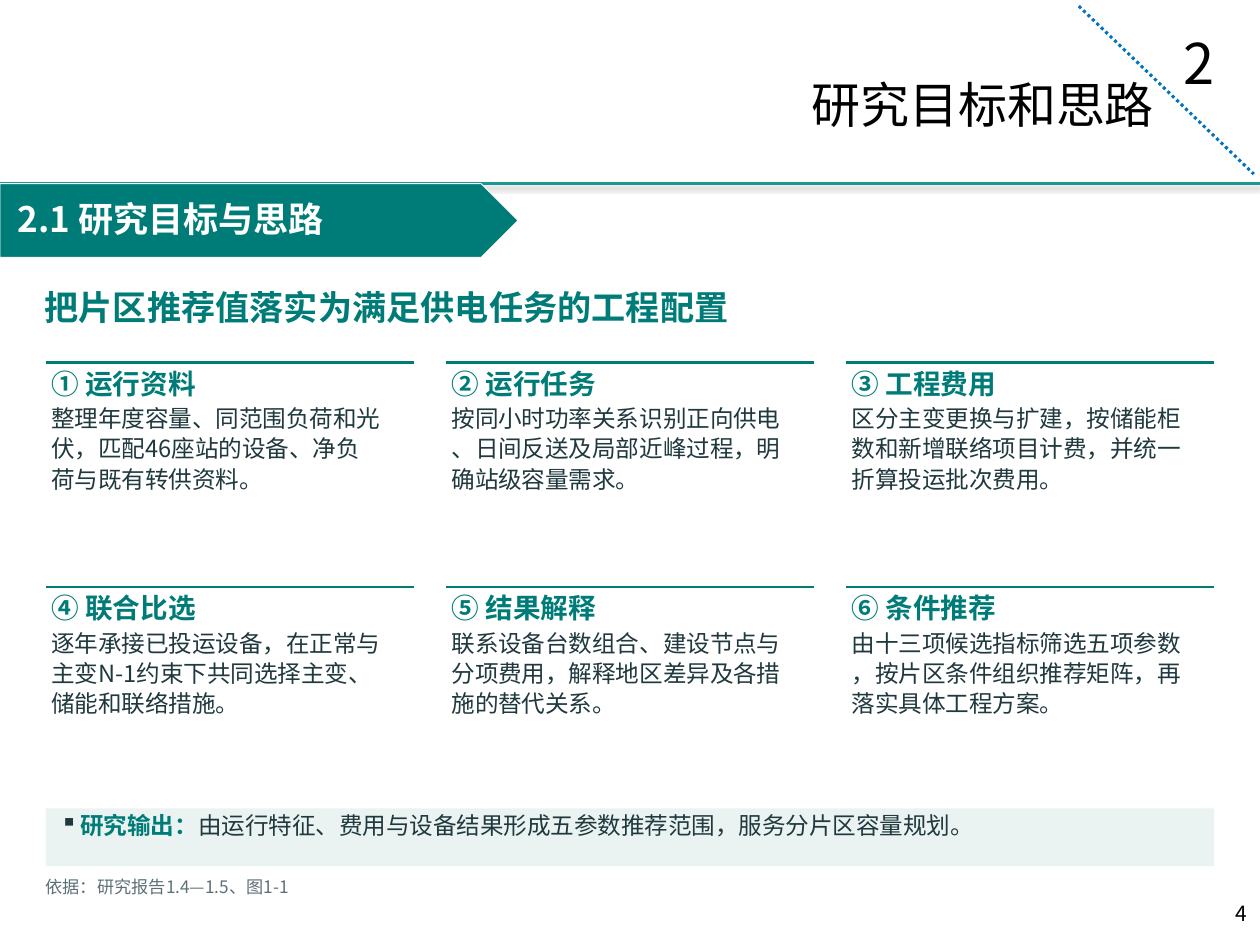
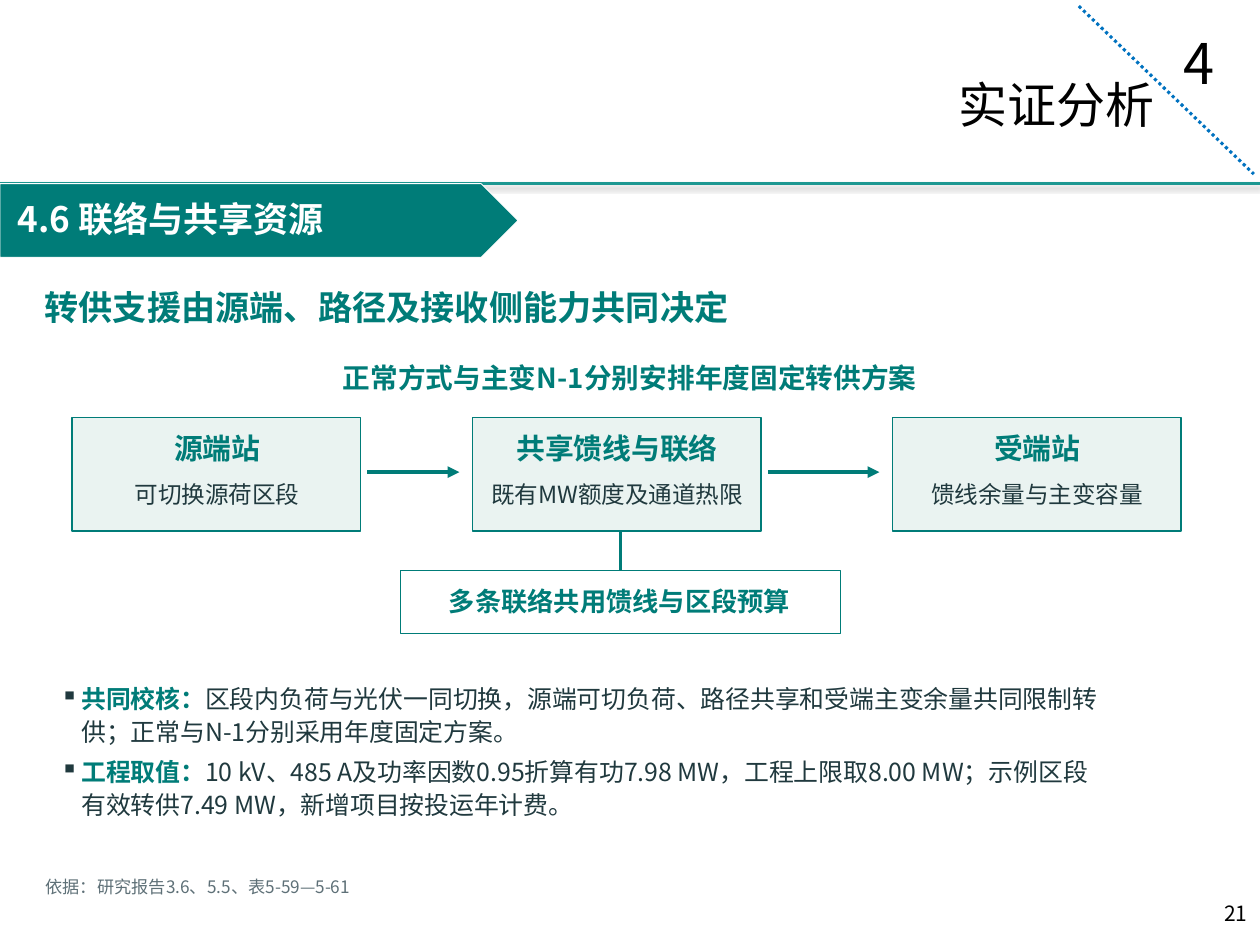
from lxml import etree
from pptx import Presentation
from pptx.dml.color import RGBColor
from pptx.enum import dml, shapes, text
from pptx.oxml import ns
from pptx.util import Pt

FONT = "Noto Sans CJK SC"
TEAL, PALE, INK, GREY = "007C78", "EAF3F1", "20393E", "5E7077"
BLACK, WHITE = "000000", "FFFFFF"
LEFT, CENTER, RIGHT = text.PP_ALIGN.LEFT, text.PP_ALIGN.CENTER, text.PP_ALIGN.RIGHT
STRAIGHT = shapes.MSO_CONNECTOR.STRAIGHT
RECTANGLE = shapes.MSO_SHAPE.RECTANGLE
rgb = RGBColor.from_string


def style(item, line=None, width=0.75, fill=None):
    """Set line and fill of a shape or connector; return its empty effect list."""
    if line:
        item.line.color.rgb = rgb(line)
        item.line.width = Pt(width)
    else:
        item.line.fill.background()
    if fill:
        item.fill.solid()
        item.fill.fore_color.rgb = rgb(fill)
    return etree.SubElement(item._element.spPr, ns.qn("a:effectLst"))


def write(slide, place, runs, size, align=LEFT, insets=(0, 0, 0), spacing=None,
          hang=None, grow=True):
    """Add a text box; runs are (text, colour, bold), insets are left, top, right."""
    box = slide.shapes.add_textbox(*map(Pt, place))
    frame = box.text_frame
    frame.word_wrap = False
    frame.auto_size = (text.MSO_AUTO_SIZE.SHAPE_TO_FIT_TEXT if grow
                       else text.MSO_AUTO_SIZE.NONE)
    frame.margin_left, frame.margin_top, frame.margin_right = map(Pt, insets)
    frame.margin_bottom = 0
    paragraph = frame.paragraphs[0]
    if hang:
        props = paragraph._p.get_or_add_pPr()
        props.set("marL", str(Pt(hang)))
        props.set("indent", str(-Pt(hang)))
        colour = etree.SubElement(props, ns.qn("a:buClr"))
        etree.SubElement(colour, ns.qn("a:srgbClr"), val=INK)
        etree.SubElement(props, ns.qn("a:buChar"), char="▪")
    paragraph.alignment = align
    if spacing:
        paragraph.line_spacing = Pt(spacing)
    for words, colour, bold in runs:
        for number, row in enumerate(words.split("\n")):
            if number:
                paragraph.add_line_break()
            run = paragraph.add_run()
            run.text = row
            run.font.size = Pt(size)
            run.font.bold = bold
            run.font.color.rgb = rgb(colour)
            run.font.name = FONT
            etree.SubElement(run._r.get_or_add_rPr(), ns.qn("a:ea"), typeface=FONT)


deck = Presentation()
deck.slide_width, deck.slide_height = Pt(720), Pt(540)

# Shared frame: chapter, section banner, headline, source and page number
pages = [
    ("2", "研究目标和思路", "4", "2.1 研究目标与思路",
     "把片区推荐值落实为满足供电任务的工程配置", "依据：研究报告1.4—1.5、图1-1", 151),
    ("4", "实证分析", "21", "4.6 联络与共享资源",
     "转供支援由源端、路径及接收侧能力共同决定", "依据：研究报告3.6、5.5、表5-59—5-61", 190),
]
slides = []
for chapter, title, page, section, headline, source, source_width in pages:
    slide = deck.slides.add_slide(deck.slide_layouts[6])
    slides.append(slide)

    header_rule = slide.shapes.add_connector(STRAIGHT, 0, Pt(105), Pt(720), Pt(105))
    effects = style(header_rule, "1C9791", 1.5)
    shadow = etree.SubElement(effects, ns.qn("a:outerShdw"), blurRad=str(Pt(3.1)),
                              dist=str(Pt(1.8)), dir="5400000", rotWithShape="0")
    shade = etree.SubElement(shadow, ns.qn("a:srgbClr"), val=BLACK)
    etree.SubElement(shade, ns.qn("a:alpha"), val="35000")

    write(slide, (669, 13, 24.5, 46), [(chapter, BLACK, False)], 32,
          insets=(7.2, 3.6, 0), grow=False)
    write(slide, (358.5, 39, 308, 41), [(title, BLACK, False)], 28, RIGHT,
          (0, 3.6, 7.2), grow=False)
    corner = slide.shapes.add_connector(STRAIGHT, Pt(616.5), Pt(3.5), Pt(716.5), Pt(99.5))
    style(corner, "0072C0", 1.75)
    corner.line.dash_style = dml.MSO_LINE.ROUND_DOT
    write(slide, (558, 511, 162, 29), [(page, BLACK, False)], 12, RIGHT,
          (0, 3.6, 7.2), grow=False)

    banner = slide.shapes.add_shape(shapes.MSO_SHAPE.PENTAGON, 0, Pt(105), Pt(296), Pt(42))
    style(banner, WHITE, 0.5, TEAL)
    write(slide, (3, 109.5, 273.5, 31.5), [(section, WHITE, True)], 20,
          insets=(7.2, 3.6, 0), grow=False)
    write(slide, (25.5, 163.5, 415, 30), [(headline, TEAL, True)], 19.5)
    write(slide, (26, 500.5, source_width, 15), [(source, GREY, False)], 9.8)

goals, evidence = slides

# Six research steps, three to a row
steps = [
    ("① 运行资料", "整理年度容量、同范围负荷和光\n伏，匹配46座站的设备、净负\n荷与既有转供资料。"),
    ("② 运行任务", "按同小时功率关系识别正向供电\n、日间反送及局部近峰过程，明\n确站级容量需求。"),
    ("③ 工程费用", "区分主变更换与扩建，按储能柜\n数和新增联络项目计费，并统一\n折算投运批次费用。"),
    ("④ 联合比选", "逐年承接已投运设备，在正常与\n主变N-1约束下共同选择主变、\n储能和联络措施。"),
    ("⑤ 结果解释", "联系设备台数组合、建设节点与\n分项费用，解释地区差异及各措\n施的替代关系。"),
    ("⑥ 条件推荐", "由十三项候选指标筛选五项参数\n，按片区条件组织推荐矩阵，再\n落实具体工程方案。"),
]
for index, (step, detail) in enumerate(steps):
    row, column = divmod(index, 3)
    left, top = 26.2 + 228.6 * column, 207.2 + 128.2 * row
    step_rule = goals.shapes.add_connector(STRAIGHT, Pt(left), Pt(top),
                                           Pt(left + 210.4), Pt(top))
    style(step_rule, TEAL, 1.5)
    write(goals, (left + 3.2, top + 2.4, 83.5, 24.5), [(step, TEAL, True)], 15.8)
    write(goals, (left + 3.2, top + 22.8, 190, 55.5), [(detail, INK, False)], 13.5,
          spacing=17.2)

output_band = goals.shapes.add_shape(RECTANGLE, Pt(26.2), Pt(462), Pt(667.5), Pt(33))
style(output_band, fill=PALE)
write(goals, (34.5, 463.5, 556.5, 21),
      [("研究输出：", TEAL, True),
       ("由运行特征、费用与设备结果形成五参数推荐范围，服务分片区容量规划。", INK, False)],
      13.5, hang=11.5)

# Transfer path from source station to receiving station
write(evidence, (185, 206, 350, 24.5),
      [("正常方式与主变N-1分别安排年度固定转供方案", TEAL, True)], 15.8, CENTER)
stations = [
    (41.2, "源端站", 54, "可切换源荷区段", 101.5),
    (269.8, "共享馈线与联络", 124, "既有MW额度及通道热限", 152.5),
    (509.8, "受端站", 54, "馈线余量与主变容量", 129.5),
]
for left, station, name_width, limit, limit_width in stations:
    block = evidence.shapes.add_shape(RECTANGLE, Pt(left), Pt(238.5), Pt(165), Pt(65))
    style(block, TEAL, fill=PALE)
    middle = left + 82.9
    write(evidence, (middle - name_width / 2, 246.2, name_width, 25),
          [(station, TEAL, True)], 16.5, CENTER)
    write(evidence, (middle - limit_width / 2, 274.2, limit_width, 21),
          [(limit, INK, False)], 13.5, CENTER)

for start, end in [(210, 262.5), (438.8, 502.5)]:
    arrow = evidence.shapes.add_connector(STRAIGHT, Pt(start), Pt(269.8), Pt(end), Pt(269.8))
    style(arrow, TEAL, 2.25)
    etree.SubElement(arrow.line._get_or_add_ln(), ns.qn("a:tailEnd"), type="triangle")

budget = evidence.shapes.add_shape(RECTANGLE, Pt(229), Pt(326.2), Pt(251.2), Pt(36))
style(budget, TEAL, fill=WHITE)
budget_link = evidence.shapes.add_connector(STRAIGHT, Pt(354.6), Pt(303.5),
                                            Pt(354.6), Pt(326.2))
budget_link.end_connect(budget, 0)
style(budget_link, TEAL, 1.5)
write(evidence, (250, 334.5, 208, 23), [("多条联络共用馈线与区段预算", TEAL, True)], 15, CENTER)

findings = [
    (388.8, 595.5, "共同校核：",
     "区段内负荷与光伏一同切换，源端可切负荷、路径共享和受端主变余量共同限制转\n"
     "供；正常与N-1分别采用年度固定方案。"),
    (430.5, 598.5, "工程取值：",
     "10 kV、485 A及功率因数0.95折算有功7.98 MW，工程上限取8.00 MW；示例区段\n"
     "有效转供7.49 MW，新增项目按投运年计费。"),
]
for top, width, label, finding in findings:
    write(evidence, (34.5, top, width, 41), [(label, TEAL, True), (finding, INK, False)],
          14.2, spacing=18.8, hang=12)

deck.save("out.pptx")
